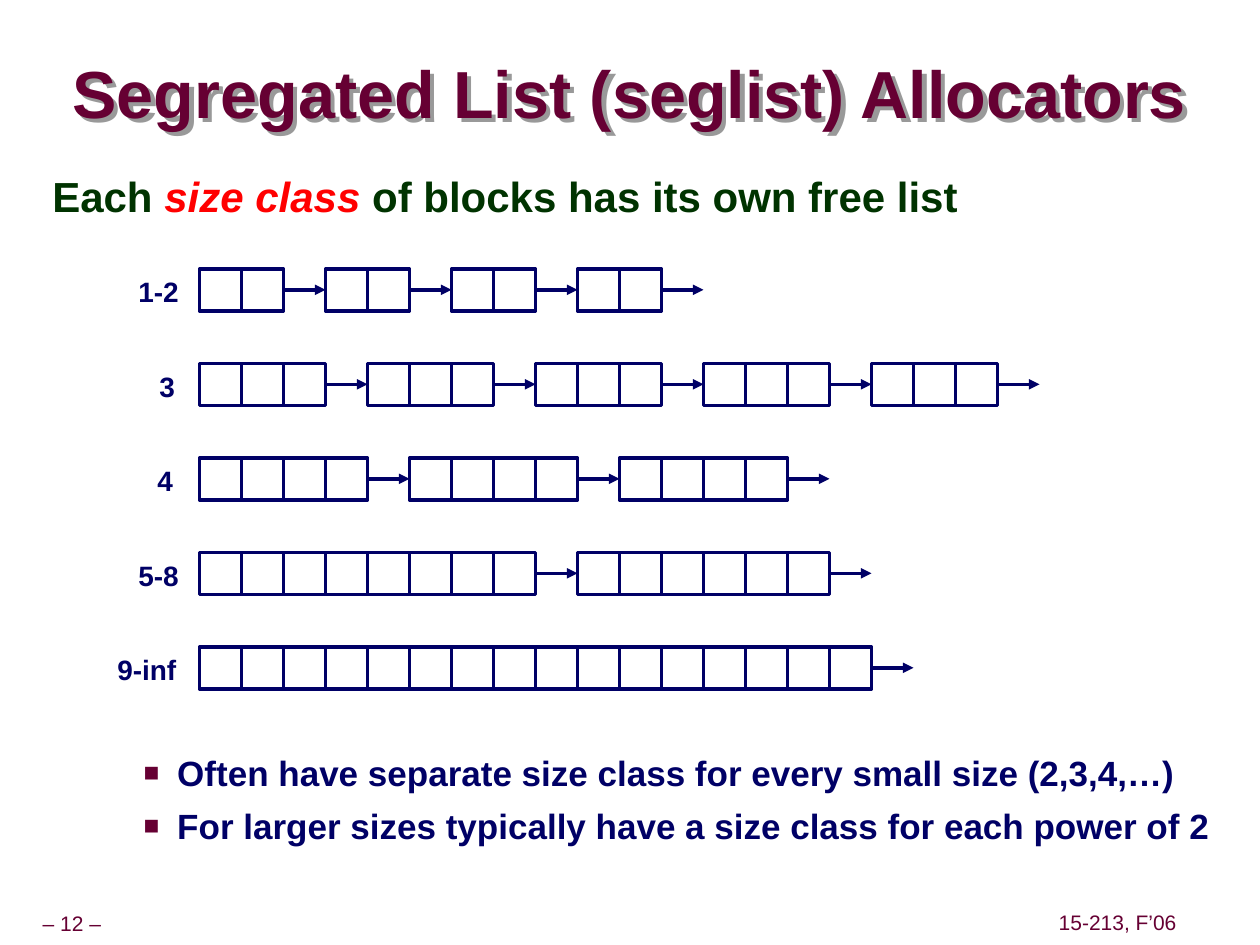
from collections import namedtuple

from lxml.etree import SubElement
from pptx import Presentation
from pptx.dml.color import RGBColor
from pptx.enum.shapes import MSO_CONNECTOR, MSO_SHAPE
from pptx.enum.text import MSO_ANCHOR, MSO_AUTO_SIZE, PP_ALIGN
from pptx.oxml.ns import qn
from pptx.util import Pt

SCALE = 7620
FONT = "Arial"
MAROON = RGBColor(0x66, 0x00, 0x33)
GREEN = RGBColor(0x00, 0x33, 0x00)
RED = RGBColor(0xFF, 0x00, 0x00)
NAVY = RGBColor(0x00, 0x00, 0x66)
WHITE = RGBColor(0xFF, 0xFF, 0xFF)
SHADOW = RGBColor(0x99, 0x99, 0x99)

CELL = 40
ROW_STEP = 90

Box = namedtuple("Box", "left top width height")
SizeClass = namedtuple("SizeClass", "label label_left label_width blocks")

SIZE_CLASSES = [
    SizeClass("1-2", 120, 66, [2, 2, 2, 2]),
    SizeClass("3", 140, 40, [3, 3, 3, 3, 3]),
    SizeClass("4", 138, 40, [4, 4, 4]),
    SizeClass("5-8", 120, 66, [8, 6]),
    SizeClass("9-inf", 100, 84, [16]),
]

NOTES = [
    "Often have separate size class for every small size (2,3,4,…)",
    "For larger sizes typically have a size class for each power of 2",
]


def px(value):
    return value * SCALE


def place(box):
    return [px(value) for value in box]


def add_span(para, text, size, color, bold=True, italic=False):
    span = para.add_run()
    span.text = text
    font = span.font
    font.size = Pt(size)
    font.bold = bold
    font.italic = italic
    font.color.rgb = color
    font.name = FONT


def add_frame(page, box, margin_x=12, wrap=True):
    frame = page.shapes.add_textbox(*place(box)).text_frame
    frame.word_wrap = wrap
    if not wrap:
        frame.auto_size = MSO_AUTO_SIZE.SHAPE_TO_FIT_TEXT
    frame.margin_left = frame.margin_right = px(margin_x)
    frame.margin_top = frame.margin_bottom = px(6)
    return frame


def add_shadow(shape):
    shape.fill.background()
    shape.line.fill.background()
    effects = SubElement(shape._element.spPr, qn("a:effectLst"))
    shadow = SubElement(
        effects, qn("a:outerShdw"), dist="45000", dir="2700000", algn="ctr", rotWithShape="0"
    )
    SubElement(shadow, qn("a:srgbClr"), val=str(SHADOW))


def add_title(page, box):
    title = page.shapes.title
    title.left, title.top, title.width, title.height = place(box)
    add_shadow(title)
    frame = title.text_frame
    frame.word_wrap = True
    frame.vertical_anchor = MSO_ANCHOR.MIDDLE
    frame.margin_left = frame.margin_right = 0
    frame.margin_top = frame.margin_bottom = 0
    para = frame.paragraphs[0]
    para.alignment = PP_ALIGN.CENTER
    para.line_spacing = 0.87
    add_span(para, "Segregated List (seglist) Allocators", 38, MAROON)


def add_statement(page, box):
    para = add_frame(page, box).paragraphs[0]
    para.line_spacing = 0.95
    add_span(para, "Each ", 24, GREEN)
    add_span(para, "size class", 24, RED, italic=True)
    add_span(para, " of blocks has its own free list", 24, GREEN)


def add_cell(page, left, top):
    cell = page.shapes.add_shape(
        MSO_SHAPE.RECTANGLE, *place(Box(left, top, CELL, CELL))
    )
    cell.shadow.inherit = False
    cell.fill.solid()
    cell.fill.fore_color.rgb = WHITE
    cell.line.color.rgb = NAVY
    cell.line.width = Pt(2)
    return cell


def add_arrow(page, left, middle, source, target):
    arrow = page.shapes.add_connector(
        MSO_CONNECTOR.STRAIGHT, px(left), px(middle), px(left + CELL), px(middle)
    )
    arrow.line.color.rgb = NAVY
    arrow.line.width = Pt(2)
    SubElement(arrow.line._get_or_add_ln(), qn("a:tailEnd"), type="triangle")
    SubElement(arrow._element.spPr, qn("a:effectLst"))
    arrow.begin_connect(source, 3)
    if target is not None:
        arrow.end_connect(target, 1)


def add_free_list(page, left, top, blocks):
    chains = []
    for count in blocks:
        chains.append([add_cell(page, left + i * CELL, top) for i in range(count)])
        left += (count + 1) * CELL
    followers = [chain[0] for chain in chains[1:]] + [None]
    for chain, follower in zip(chains, followers):
        end = (chain[-1].left + chain[-1].width) // SCALE
        add_arrow(page, end, top + CELL // 2, chain[-1], follower)


def add_size_classes(page, left, top):
    for row, size_class in enumerate(SIZE_CLASSES):
        row_top = top + row * ROW_STEP
        add_free_list(page, left, row_top, size_class.blocks)
        label_box = Box(size_class.label_left, row_top, size_class.label_width, 44)
        label = add_frame(page, label_box, wrap=False)
        add_span(label.paragraphs[0], size_class.label, 16, NAVY)


def add_bullet(para):
    properties = para._p.get_or_add_pPr()
    properties.set("marL", str(px(97)))
    properties.set("indent", str(px(-32)))
    color = SubElement(properties, qn("a:buClr"))
    SubElement(color, qn("a:srgbClr"), val=str(MAROON))
    SubElement(properties, qn("a:buSzPct"), val="75000")
    SubElement(properties, qn("a:buFont"), typeface=FONT)
    SubElement(properties, qn("a:buChar"), char="■")


def add_notes(page, box):
    frame = add_frame(page, box)
    for index, text in enumerate(NOTES):
        para = frame.add_paragraph() if index else frame.paragraphs[0]
        para.level = 1
        add_bullet(para)
        if index:
            para.space_before = Pt(6.2)
        add_span(para, text, 20, NAVY)


def add_footer(page, box, text):
    frame = add_frame(page, box, margin_x=6, wrap=False)
    frame.vertical_anchor = MSO_ANCHOR.MIDDLE
    para = frame.paragraphs[0]
    para.alignment = PP_ALIGN.CENTER
    para.line_spacing = 0.9
    add_span(para, text, 12, MAROON, bold=False)


def main():
    deck = Presentation()
    deck.slide_width, deck.slide_height = px(1200), px(900)
    page = deck.slides.add_slide(deck.slide_layouts[5])
    add_title(page, Box(60, 55, 1080, 76))
    add_statement(page, Box(38, 160, 1091, 67))
    add_size_classes(page, 190, 256)
    add_notes(page, Box(60, 710, 1120, 170))
    add_footer(page, Box(0, 864, 137, 34), "– 12 –")
    add_footer(page, Box(1002, 863, 125, 34), "15-213, F’06")
    deck.save("out.pptx")


if __name__ == "__main__":
    main()
